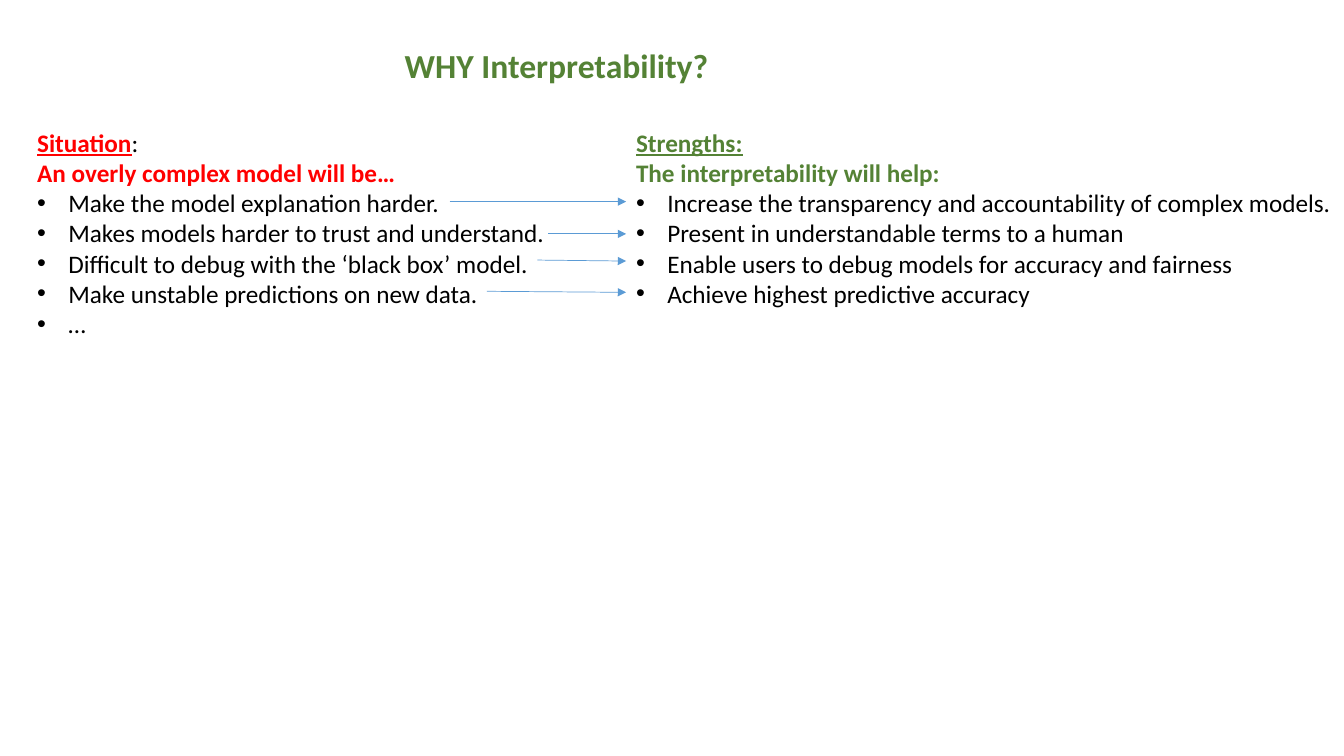
from lxml import etree
from pptx import Presentation
from pptx.dml.color import RGBColor
from pptx.enum.shapes import MSO_CONNECTOR
from pptx.enum.text import MSO_AUTO_SIZE, PP_ALIGN
from pptx.oxml.ns import qn
from pptx.util import Inches, Pt

STRAIGHT = MSO_CONNECTOR.STRAIGHT
FIT_SHAPE = MSO_AUTO_SIZE.SHAPE_TO_FIT_TEXT
LEFT, CENTER = PP_ALIGN.LEFT, PP_ALIGN.CENTER
GREEN = RGBColor(0x54, 0x82, 0x35)
RED = RGBColor(0xFF, 0x00, 0x00)
BLACK = RGBColor(0x00, 0x00, 0x00)
BLUE = RGBColor(0x5B, 0x9B, 0xD5)
FONT = "Calibri"
BULLET_INDENT = Inches(0.31)

TITLE = "WHY Interpretability?"
COLUMNS = [
    {
        "area": (0.27, 1.21, 6.67, 2.22),
        "color": RED,
        "heading": "Situation",
        "suffix": ":",
        "lead": "An overly complex model will be…",
        "points": [
            "Make the model explanation harder.",
            "Makes models harder to trust and understand.",
            "Difficult to debug with the ‘black box’ model.",
            "Make unstable predictions on new data.",
            "…",
        ],
    },
    {
        "area": (6.21, 1.21, 7.35, 1.92),
        "color": GREEN,
        "heading": "Strengths:",
        "suffix": "",
        "lead": "The interpretability will help:",
        "points": [
            "Increase the transparency and accountability of complex models.",
            "Present in understandable terms to a human",
            "Enable users to debug models for accuracy and fairness",
            "Achieve highest predictive accuracy",
        ],
    },
]
ARROW_END = 6.21
ARROWS = [(4.46, 2.0, 2.0), (5.44, 2.32, 2.32), (5.33, 2.58, 2.59), (4.83, 2.89, 2.9)]


def add_span(para, text, size=18, color=BLACK, bold=False, underline=False):
    span = para.add_run()
    span.text = text
    span.font.name = FONT
    span.font.size = Pt(size)
    span.font.color.rgb = color
    span.font.bold = bold
    span.font.underline = underline


def add_box(page, area, paragraphs):
    box = page.shapes.add_textbox(*map(Inches, area))
    frame = box.text_frame
    frame.word_wrap = True
    frame.auto_size = FIT_SHAPE
    for index, (spans, align, bulleted) in enumerate(paragraphs):
        para = frame.add_paragraph() if index else frame.paragraphs[0]
        para.alignment = align
        if bulleted:
            add_bullet(para)
        for text, style in spans:
            add_span(para, text, **style)


def add_bullet(para):
    props = para._p.get_or_add_pPr()
    props.set("marL", str(BULLET_INDENT))
    props.set("indent", str(-BULLET_INDENT))
    etree.SubElement(props, qn("a:buFont")).set("typeface", "Arial")
    etree.SubElement(props, qn("a:buChar")).set("char", "•")


def add_column(page, column):
    strong = {"color": column["color"], "bold": True}
    heading = [(column["heading"], {**strong, "underline": True})]
    if column["suffix"]:
        heading.append((column["suffix"], {}))
    paragraphs = [(heading, LEFT, False), ([(column["lead"], strong)], LEFT, False)]
    paragraphs += [([(point, {})], LEFT, True) for point in column["points"]]
    add_box(page, column["area"], paragraphs)


def add_arrow(page, start, top, end_top):
    points = map(Inches, (start, top, ARROW_END, end_top))
    arrow = page.shapes.add_connector(STRAIGHT, *points)
    arrow.line.color.rgb = BLUE
    arrow.line.width = Pt(0.5)
    etree.SubElement(arrow.line._get_or_add_ln(), qn("a:tailEnd")).set("type", "triangle")
    etree.SubElement(arrow._element.spPr, qn("a:effectLst"))


def main():
    deck = Presentation()
    deck.slide_width, deck.slide_height = Inches(13.33), Inches(7.5)
    page = deck.slides.add_slide(deck.slide_layouts[6])
    title_style = {"size": 24, "color": GREEN, "bold": True}
    add_box(page, (3.79, 0.4, 3.46, 0.5), [([(TITLE, title_style)], CENTER, False)])
    for column in COLUMNS:
        add_column(page, column)
    for arrow in ARROWS:
        add_arrow(page, *arrow)
    deck.save("out.pptx")


if __name__ == "__main__":
    main()
